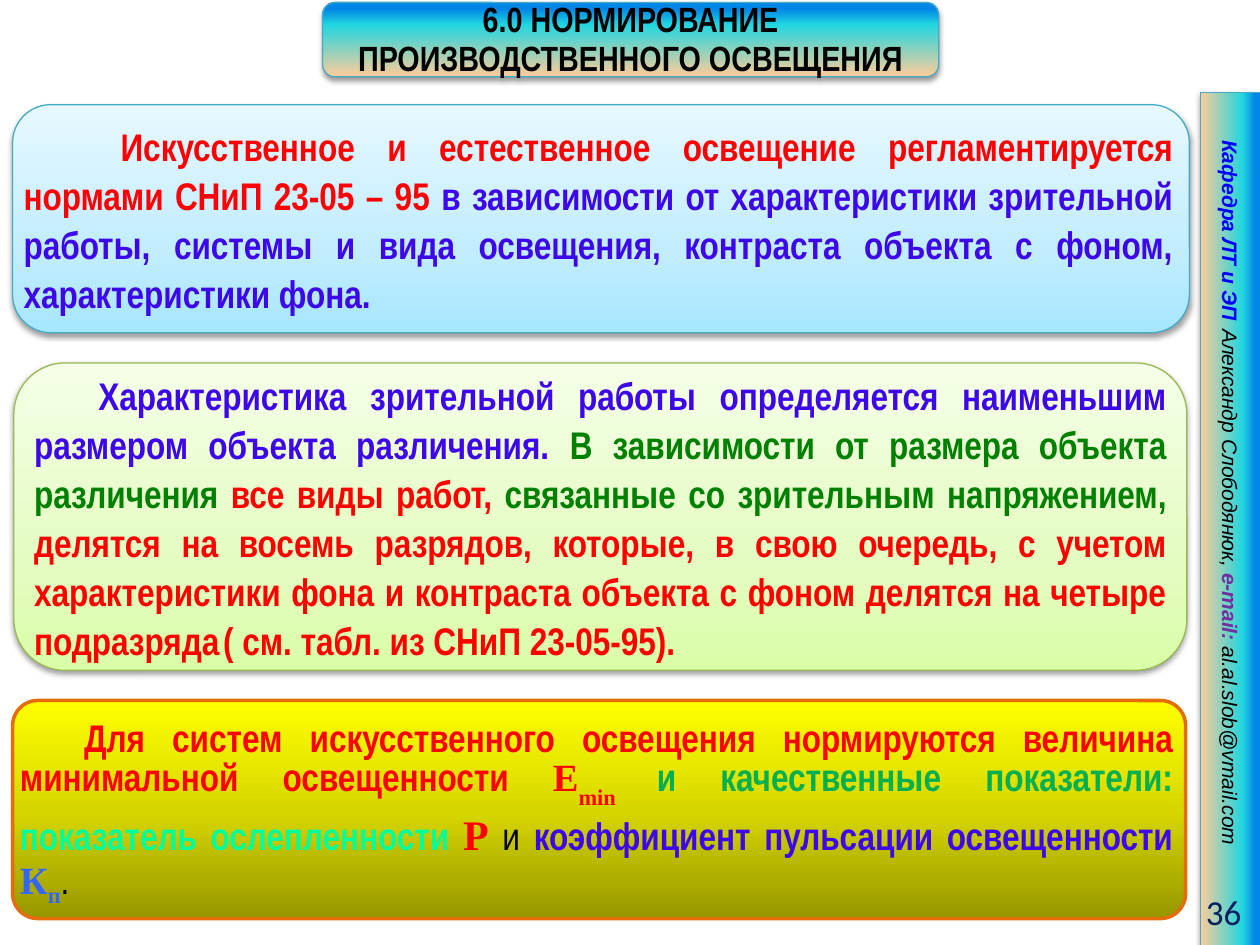
"""Build the slide on standards for industrial lighting."""
import copy

import pptx
import pptx.util
import pptx.oxml.ns
import pptx.dml.color
import pptx.enum.text
import pptx.enum.shapes
from lxml import etree

Pt = pptx.util.Pt
qn = pptx.oxml.ns.qn
RGB = pptx.dml.color.RGBColor.from_string
ALIGN = pptx.enum.text.PP_ALIGN
KIND = pptx.enum.shapes.MSO_SHAPE

THEME = {
    "red": "FF0000", "blue": "3D07E9", "green": "008000", "mid": "00B050",
    "mint": "00FF99", "sky": "3366FF", "black": "000000", "navy": "002060",
    "link": "0000FF", "plum": "7030A0",
    "sea": [(0, "FFCC99"), (0.7, "21D6E0"), (0.91, "0087E6")],
    "gold": [(0, "979700"), (0.5, "D7D700"), (1, "FFFF00")],
    "lime": [(0, "DAFDA7"), (0.35, "E4FCC2"), (1, "F5FFE7")],
    "ice": [(0, "A7E6FF"), (0.35, "C1EDFF"), (1, "E7F8FF")],
    "teal": ("46AAC5", 0.75), "leaf": ("98B955", 0.75), "rust": ("E46C0A", 2),
    "side": {"name": "Arial", "size": Pt(12), "bold": True, "italic": True},
    "head": {"name": "Arial Narrow", "size": Pt(20), "bold": True},
    "body": {"name": "Arial Narrow", "size": Pt(22), "bold": True},
    "page": {"name": "Calibri", "size": Pt(20)},
}
THIN = {"bold": False}
ROMAN = {"name": "Times New Roman"}

PARA = {"alignment": ALIGN.JUSTIFY, "line_spacing": Pt(28)}
BOXES = [
    {"at": (459.4, 279.4, 487.4, 34.6), "kind": KIND.RECTANGLE, "turn": 90,
     "fill": "sea", "line": "teal", "font": "side", "pad": (27, 3.6, 0, 3.6),
     "para": {"alignment": ALIGN.LEFT}, "tab": 133,
     "runs": [("Кафедра ЛТ и ЭП\t", "link", {}),
              ("Александр Слободянюк, ", "black", THIN),
              ("e-mail: ", "plum", {}),
              ("al.al.slob@vmail.com", "black", THIN)]},
    {"at": (637.9, 506.2, 78.5, 28.8), "font": "page", "pad": (7.2, 3.6, 7.2, 3.6),
     "para": {"alignment": ALIGN.RIGHT}, "runs": [("36", "navy", {})]},
    {"at": (184.3, 1.4, 352.1, 42.5), "fill": "sea", "line": "teal",
     "font": "head", "para": {"alignment": ALIGN.CENTER, "line_spacing": Pt(22)},
     "runs": [("6.0 НОРМИРОВАНИЕ ПРОИЗВОДСТВЕННОГО ОСВЕЩЕНИЯ", "black", {})]},
    {"at": (7.2, 400.3, 670.3, 124.6), "fill": "gold", "line": "rust",
     "round": 0.115, "flat": True, "pad": (0, 3, 3, 3), "indent": 36.7,
     "runs": [("Для систем искусственного освещения нормируются величина "
               "минимальной освещенности ", "red", {}),
              ("Е", "red", ROMAN), ("min ", "red", {**ROMAN, "base": -36000}),
              ("и качественные показатели: ", "mid", {}),
              ("показатель ослепленности ", "mint", {}),
              ("Р", "red", {**ROMAN, "size": Pt(24)}),
              (" и ", "black", THIN),
              ("коэффициент пульсации освещенности ", "blue", {}),
              ("К", "sky", ROMAN), ("п", "sky", {**ROMAN, "base": -22000}),
              (".", "black", THIN)]},
    {"at": (7.9, 207.4, 670.3, 175.7), "fill": "lime", "line": "leaf",
     "indent": 36.7, "tab": 141,
     "runs": [("Характеристика зрительной работы определяется наименьшим "
               "размером объекта различения. ", "blue", {}),
              ("В зависимости от размера объекта различения ", "green", {}),
              ("все виды работ, ", "red", {}),
              ("связанные со зрительным напряжением, ", "green", {}),
              ("делятся на восемь разрядов, которые, в свою очередь, с учетом "
               "характеристики фона и контраста объекта с фоном делятся на "
               "четыре подразряда\t( см. табл. из СНиП 23-05-95).", "red", {})]},
    {"at": (7.2, 59.8, 672.5, 130.3), "fill": "ice", "line": "teal",
     "pad": (0, 3, 3, 3), "indent": 55.4,
     "runs": [("Искусственное и естественное освещение регламентируется "
               "нормами СНиП 23-05 – 95 ", "red", {}),
              ("в зависимости от характеристики зрительной работы, системы и "
               "вида освещения, контраста объекта с фоном, характеристики "
               "фона.", "blue", {})]},
]


def apply(item, form):
    for key, val in form.items():
        setattr(item, key, val)


def child(node, tag, **attrs):
    return etree.SubElement(node, qn(tag), {k: str(v) for k, v in attrs.items()})


def shade(shape):
    node = shape.element.spPr.find(qn("a:effectLst"))
    drop = child(node, "a:outerShdw", blurRad=Pt(3.1), dist=Pt(1.6),
                 dir=5400000, rotWithShape=0)
    tint = child(drop, "a:srgbClr", val=THEME["black"])
    child(tint, "a:alpha", val=38000)


def paint(shape, box):
    fill = shape.fill
    fill.gradient()
    fill.gradient_angle = 90
    stops = next(shape.element.iter(qn("a:gsLst")))
    stops.append(copy.deepcopy(stops[0]))
    for stop, (pos, tint) in zip(fill.gradient_stops, THEME[box["fill"]]):
        stop.position = pos
        stop.color.rgb = RGB(tint)
    tint, width = THEME[box["line"]]
    shape.line.color.rgb = RGB(tint)
    shape.line.width = Pt(width)
    shape.shadow.inherit = False
    shape.rotation = box.get("turn", 0)
    if "round" in box:
        shape.adjustments[0] = box["round"]
    if not box.get("flat"):
        shade(shape)


def write(shape, box):
    frame = shape.text_frame
    sides = ("margin_left", "margin_top", "margin_right", "margin_bottom")
    pads = map(Pt, box.get("pad", (3, 3, 3, 3)))
    apply(frame, {"word_wrap": True, **dict(zip(sides, pads)),
                  "vertical_anchor": pptx.enum.text.MSO_ANCHOR.MIDDLE})
    para = frame.paragraphs[0]
    apply(para, box.get("para", PARA))
    props = para._p.get_or_add_pPr()
    props.set("marL", "0")
    props.set("indent", str(Pt(box.get("indent", 0))))
    if "tab" in box:
        child(child(props, "a:tabLst"), "a:tab", pos=Pt(box["tab"]), algn="l")
    for text, tint, extra in box["runs"]:
        run = para.add_run()
        run.text = text
        form = {**THEME[box.get("font", "body")], **extra}
        base = form.pop("base", None)
        apply(run.font, form)
        run.font.color.rgb = RGB(THEME[tint])
        if base:
            run._r.get_or_add_rPr().set("baseline", str(base))


def main():
    deck = pptx.Presentation()
    apply(deck, {"slide_width": Pt(720), "slide_height": Pt(540)})
    shapes = deck.slides.add_slide(deck.slide_layouts[6]).shapes
    for box in BOXES:
        place = [Pt(val) for val in box["at"]]
        if "fill" in box:
            kind = box.get("kind", KIND.ROUNDED_RECTANGLE)
            shape = shapes.add_shape(kind, *place)
            paint(shape, box)
        else:
            shape = shapes.add_textbox(*place)
        write(shape, box)
    deck.save("out.pptx")


if __name__ == "__main__":
    main()
